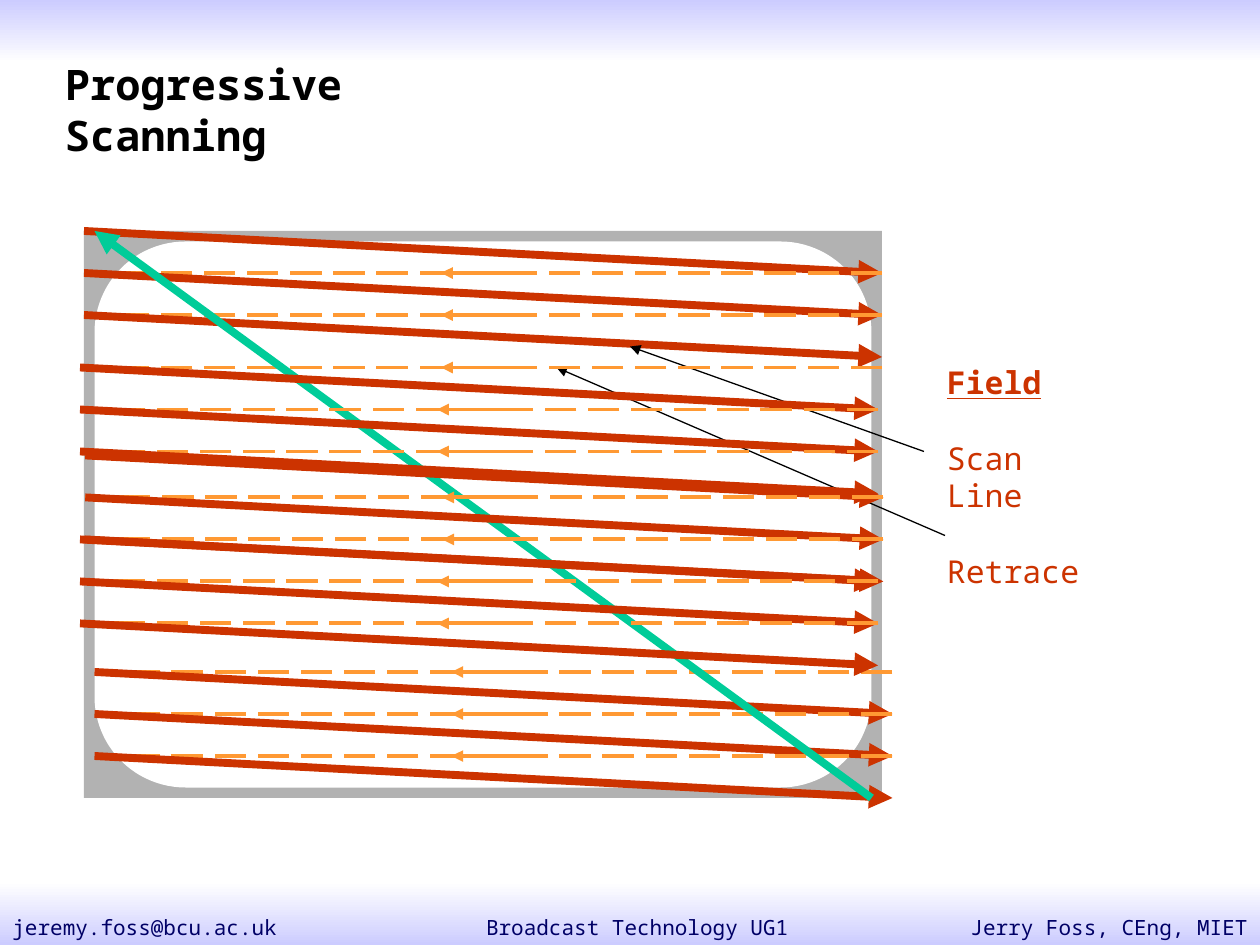
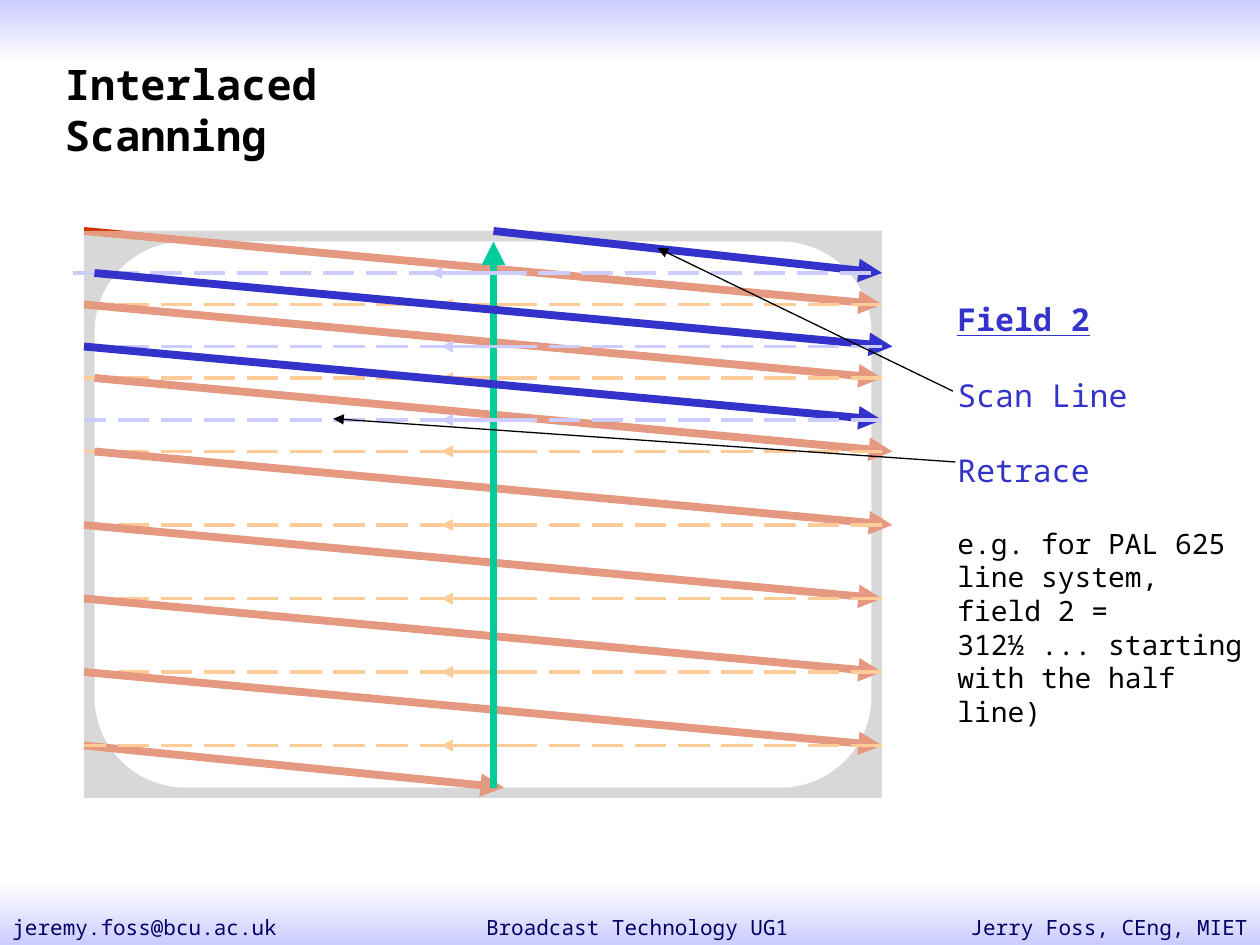
from lxml import etree
from pptx import Presentation
from pptx import util as u
from pptx.dml.color import RGBColor
from pptx.enum import dml, shapes, text
from pptx.oxml import ns

PX_PER_INCH = 96
FONT = "Noto Sans Mono"

BLACK = RGBColor(0x00, 0x00, 0x00)
WHITE = RGBColor(0xFF, 0xFF, 0xFF)
LAVENDER = RGBColor(0xCC, 0xCC, 0xFF)
NAVY = RGBColor(0x00, 0x00, 0x66)
GREY = RGBColor(0xB2, 0xB2, 0xB2)
RED = RGBColor(0xCC, 0x33, 0x00)
ORANGE = RGBColor(0xFF, 0x99, 0x33)
BLUE = RGBColor(0x33, 0x33, 0xCC)
GREEN = RGBColor(0x00, 0xCC, 0x99)

# Boxes are left, top, width, height
PAGE = (0, 0, 960, 720)
TITLE = (40, 40, 348, 48)
FRAME = (64, 176, 608, 432)
BEZEL = 8

# Scan and retrace colours of each field
RED_FIELD = (RED, ORANGE)
BLUE_FIELD = (BLUE, LAVENDER)


def px(length):
    return u.Inches(length / PX_PER_INCH)


def add_xml(parent, tag, **attributes):
    return etree.SubElement(parent, ns.qn(tag), **attributes)


def add_block(slide, kind, box, color):
    shape = slide.shapes.add_shape(kind, *map(px, box))
    shape.shadow.inherit = False
    shape.line.fill.background()
    shape.fill.solid()
    shape.fill.fore_color.rgb = color
    return shape


def add_band(slide, box, colors):
    shape = add_block(slide, shapes.MSO_SHAPE.RECTANGLE, box, WHITE)
    shape.fill.gradient()
    shape.fill.gradient_angle = 270
    for stop, color in zip(shape.fill.gradient_stops, colors):
        stop.color.rgb = color


def add_line(slide, start, end, color, width, dashed=False, arrow=True):
    line = slide.shapes.add_connector(
        shapes.MSO_CONNECTOR.STRAIGHT, *map(px, (*start, *end)))
    line.line.color.rgb = color
    line.line.width = u.Pt(width)
    if dashed:
        line.line.dash_style = dml.MSO_LINE.LONG_DASH
    if arrow:
        add_xml(line.line._get_or_add_ln(), "a:tailEnd", type="triangle")
    add_xml(line._element.spPr, "a:effectLst")


def add_text(slide, box, *paragraphs, size=18, color=BLACK, bold=False,
             align=text.PP_ALIGN.LEFT, gap=0):
    """Each paragraph is a string or a pair of string and font settings."""
    frame = slide.shapes.add_textbox(*map(px, box)).text_frame
    frame.word_wrap = True
    for index, entry in enumerate(paragraphs):
        words, changes = (entry, {}) if isinstance(entry, str) else entry
        para = frame.add_paragraph() if index else frame.paragraphs[0]
        para.alignment = align
        if index:
            para.space_before = u.Pt(gap)
        span = para.add_run()
        span.text = words
        span.font.name = FONT
        span.font.size = u.Pt(changes.get("size", size))
        span.font.color.rgb = changes.get("color", color)
        span.font.bold = changes.get("bold", bold)
        span.font.underline = changes.get("underline", False)


def add_page(deck, title):
    slide = deck.slides.add_slide(deck.slide_layouts[6])
    left, top, width, height = PAGE
    band = 48
    add_band(slide, (left, top, width, band), (LAVENDER, WHITE))
    add_band(slide, (left, top + height - band, width, band), (WHITE, LAVENDER))
    # Footers
    for offset, span, words, align in (
            (255, 461, "Broadcast Technology UG1", text.PP_ALIGN.CENTER),
            (0, 304, "jeremy.foss@bcu.ac.uk", text.PP_ALIGN.LEFT),
            (656, 304, "Jerry Foss, CEng, MIET", text.PP_ALIGN.RIGHT)):
        add_text(slide, (left + offset, top + height - 28, span, 28), words,
                 size=12, color=NAVY, align=align)
    add_text(slide, TITLE, title, size=24, bold=True)
    return slide


def add_screen(slide, box):
    left, top, width, height = box
    add_block(slide, shapes.MSO_SHAPE.RECTANGLE, box, GREY)
    add_block(slide, shapes.MSO_SHAPE.FLOWCHART_ALTERNATE_PROCESS,
              (left + BEZEL, top + BEZEL, width - 2 * BEZEL, height - 2 * BEZEL),
              WHITE)


def add_beam(slide, box, start, end, color):
    """A thick arrow between two points measured from the box corner."""
    left, top = box[:2]
    add_line(slide, (left + start[0], top + start[1]),
             (left + end[0], top + end[1]), color, 4.5)


def add_retrace(slide, box, shift, drop, color):
    left, y = box[0] + shift, box[1] + drop
    add_line(slide, (left + box[2], y), (left, y), color, 2.25,
             dashed=True, arrow=False)
    # Short solid piece carrying the arrowhead
    add_line(slide, (left + 336, y), (left + 272, y), color, 2.25)


def add_rows(slide, box, drop, pitch, rows, field):
    """Rows are (retrace shift, scan shift); None leaves that line out."""
    scan_color, retrace_color = field
    for index, (retrace, scan) in enumerate(rows):
        y = drop + index * pitch
        if retrace is not None:
            add_retrace(slide, box, retrace, y, retrace_color)
        if scan is not None:
            add_beam(slide, box, (scan, y), (scan + box[2], y + pitch), scan_color)


def add_key(slide, box, field, color, *notes):
    add_text(slide, box, (field, {"bold": True, "underline": True}),
             "Scan Line", "Retrace", *notes, color=color, gap=21.5)


def add_pointers(slide, *pointers):
    for start, end in pointers:
        add_line(slide, start, end, BLACK, 0.75)


def build_progressive(deck):
    slide = add_page(deck, "Progressive Scanning")
    add_screen(slide, FRAME)
    pitch = 32
    add_rows(slide, FRAME, 0, pitch, [(None, 0), (0, 0), (0, 0)], RED_FIELD)
    add_rows(slide, FRAME, 336, pitch, [(8, 8)] * 3, RED_FIELD)
    add_key(slide, (712, 272, 129, 154), "Field", RED)
    add_pointers(slide, ((704, 344), (480, 264)), ((720, 408), (424, 280)))
    add_retrace(slide, FRAME, 0, 104, ORANGE)
    # Return to the top of the field
    add_beam(slide, FRAME, (FRAME[2] - BEZEL, FRAME[3]), (BEZEL, 0), GREEN)
    # Middle groups of three scan lines
    for shift, drop in ((-3, 104), (1, 171), (-3, 235)):
        rows = [(None, shift), (shift, shift), (shift, shift)]
        add_rows(slide, FRAME, drop, pitch, rows, RED_FIELD)


def build_interlaced(deck):
    slide = add_page(deck, "Interlaced Scanning")
    add_screen(slide, FRAME)
    left, top, width, height = FRAME
    pitch, middle = 56, 312
    # First field, ending on a half line
    add_beam(slide, FRAME, (0, 7 * pitch), (320, height - BEZEL), RED)
    rows = [(None, 0), (0, 0), (0, 8), (0, 8), (0, 0), (0, 0), (0, 0), (0, None)]
    add_rows(slide, FRAME, 0, pitch, rows, RED_FIELD)
    # Half-transparent veil over the first field
    veil = add_block(slide, shapes.MSO_SHAPE.RECTANGLE,
                     (left - BEZEL, top, width + 2 * BEZEL, height), WHITE)
    tint = veil._element.spPr.find(ns.qn("a:solidFill"))[0]
    add_xml(tint, "a:alpha", val="50000")
    # Second field, starting on a half line
    add_beam(slide, FRAME, (middle, height - BEZEL), (middle, BEZEL), GREEN)
    add_beam(slide, FRAME, (middle, 0), (width, 32), BLUE)
    add_rows(slide, FRAME, 32, pitch, [(-8, 8), (0, 0), (0, None)], BLUE_FIELD)
    note = ("e.g. for PAL 625 line system, field 2 = 312½ ... starting "
            "with the half line)")
    add_key(slide, (720, 224, 240, 285), "Field 2", BLUE,
            (note, {"size": 16, "color": BLACK}))
    add_pointers(slide, ((726, 298), (501, 189)), ((728, 352), (254, 319)))


def main():
    deck = Presentation()
    deck.slide_width, deck.slide_height = px(PAGE[2]), px(PAGE[3])
    build_progressive(deck)
    build_interlaced(deck)
    deck.save("out.pptx")


if __name__ == "__main__":
    main()
